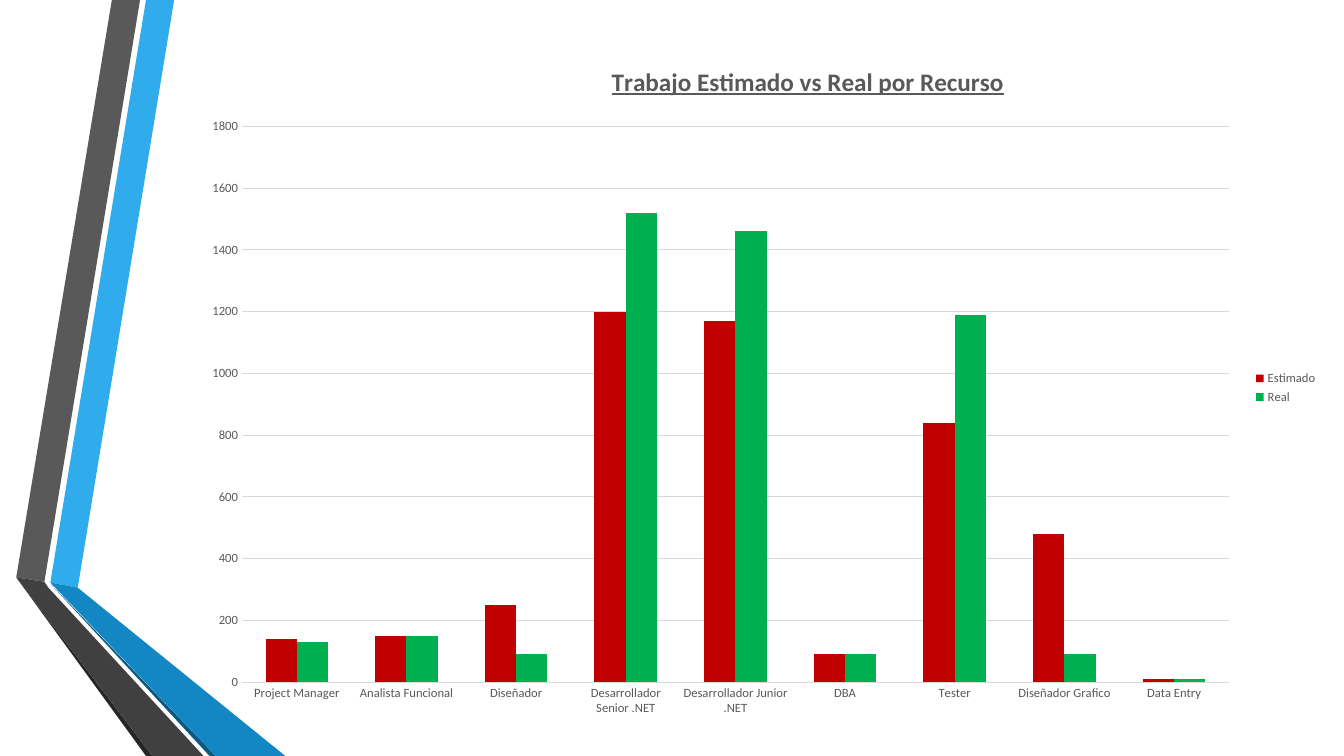
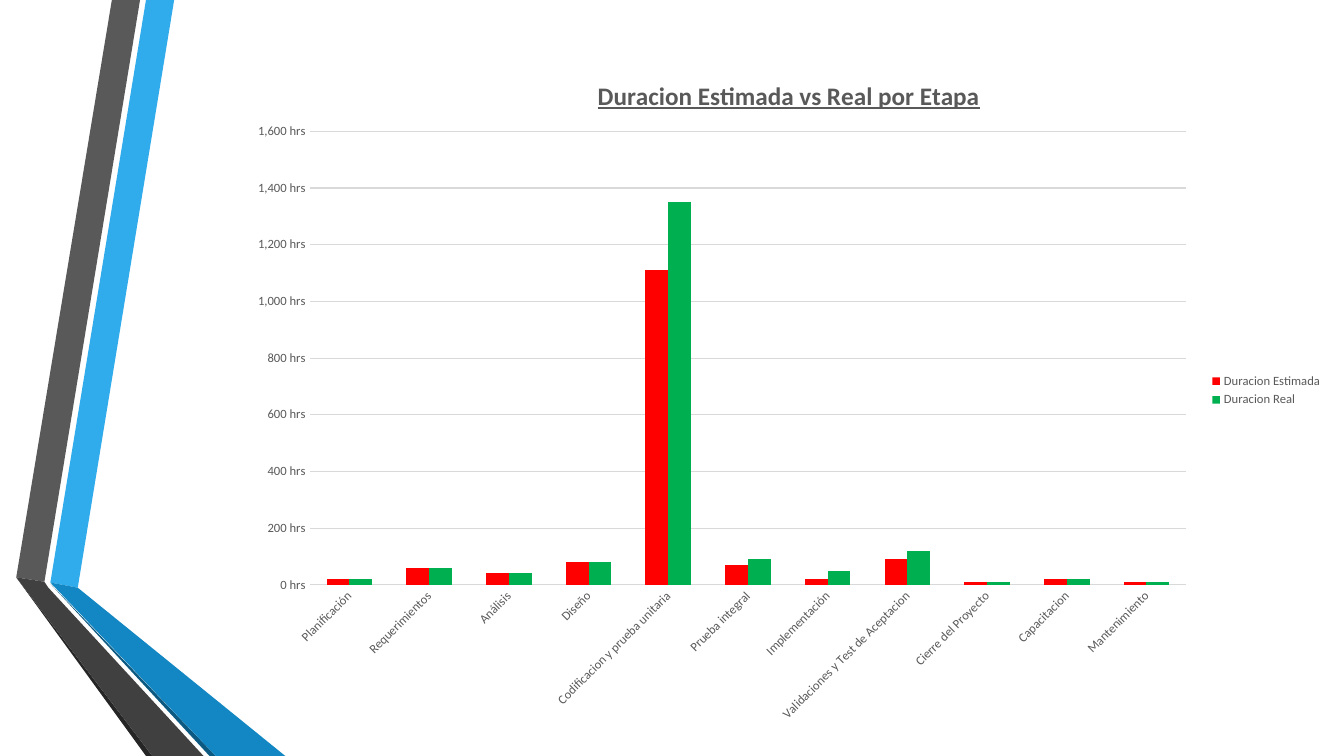
import pptx
import pptx.chart.data
import pptx.dml.color
import pptx.enum.chart
import pptx.oxml
import pptx.oxml.ns
import pptx.util

Cm, Pt = pptx.util.Cm, pptx.util.Pt
qn = pptx.oxml.ns.qn

# Shared look
FONT = "Calibri"
TEXT, GRID, GREEN = "595959", "D9D9D9", "00B050"
WIDTH, HEIGHT = 33.87, 19.05

# Side bands: colour and outline in cm
BANDS = [
    ("30ACEC", [(1.27, 14.68), (1.96, 14.81), (4.39, 0), (3.68, 0)]),
    ("595959", [(3.53, 0), (2.82, 0), (0.41, 14.55), (1.12, 14.66)]),
    ("262626", [(0.41, 14.55), (3.68, HEIGHT), (3.84, HEIGHT)]),
    ("0C5A82", [(1.27, 14.71), (5.28, HEIGHT), (5.44, HEIGHT)]),
    ("1287C3", [(1.27, 14.68), (5.44, HEIGHT), (7.19, HEIGHT), (1.96, 14.81)]),
    ("404040", [(0.41, 14.55), (3.84, HEIGHT), (5.13, HEIGHT), (1.22, 14.81),
                (1.12, 14.66)]),
]

# Chart content; boxes are left, top, width, height in cm
RESOURCES = dict(
    title="Trabajo Estimado vs Real por Recurso",
    box=(4.78, 1.17, 28.68, 17.2), plot=(6.1, 3.19, 24.87, 14),
    title_at=(15.3, 1.5), top=1800, number_format="General",
    cats=["Project Manager", "Analista Funcional", "Diseñador",
          "Desarrollador Senior .NET", "Desarrollador Junior .NET", "DBA",
          "Tester", "Diseñador Grafico", "Data Entry"],
    series=[
        ("Estimado", "C00000", [140, 150, 250, 1200, 1170, 90, 840, 480, 10]),
        ("Real", GREEN, [130, 150, 90, 1520, 1460, 90, 1190, 90, 10]),
    ],
)
STAGES = dict(
    title="Duracion Estimada vs Real por Etapa",
    box=(5.97, 1.14, 27.61, 17.4), plot=(7.8, 3.31, 22.1, 11.43),
    title_at=(14.95, 1.85), top=1600, number_format='#,##0_ "hrs"',
    cats=["Planificación", "Requerimientos", "Análisis", "Diseño",
          "Codificacion y prueba unitaria", "Prueba integral",
          "Implementación", "Validaciones y Test de Aceptacion",
          "Cierre del Proyecto", "Capacitacion", "Mantenimiento"],
    series=[
        ("Duracion Estimada", "FF0000",
         [20, 60, 40, 80, 1110, 70, 20, 90, 10, 20, 10]),
        ("Duracion Real", GREEN,
         [20, 60, 40, 80, 1350, 90, 50, 120, 10, 20, 10]),
    ],
    label_angle=-45,
)


def rgb(value):
    return pptx.dml.color.RGBColor.from_string(value)


def style_font(font, size):
    font.name, font.size = FONT, Pt(size)
    font.color.rgb = rgb(TEXT)


def add_bands(slide, layout):
    """Draw the bands and move them to the layout, so all slides share them."""
    for color, points in BANDS:
        outline = [(Cm(x), Cm(y)) for x, y in points]
        builder = slide.shapes.build_freeform(*outline[0])
        builder.add_line_segments(outline[1:])
        sp = builder.convert_to_shape()
        sp.shadow.inherit = False
        sp.fill.solid()
        sp.fill.fore_color.rgb = rgb(color)
        sp.line.fill.background()
        layout.shapes.element.append(sp.element)


def set_layout(parent, index, chart_box, place, inner=False):
    """Place a chart part, given in slide cm, as fractions of the chart."""
    for old in parent.findall(qn("c:layout")):
        parent.remove(old)
    left, top, width, height = chart_box
    values = [(place[0] - left) / width, (place[1] - top) / height]
    values += [length / whole for length, whole in zip(place[2:], (width, height))]
    target = '<c:layoutTarget val="inner"/>' if inner else ""
    modes = '<c:xMode val="edge"/><c:yMode val="edge"/>'
    sizes = "".join(f'<c:{tag} val="{value:.4f}"/>'
                    for tag, value in zip("xywh", values))
    parent.insert(index, pptx.oxml.parse_xml(
        f'<c:layout {pptx.oxml.ns.nsdecls("c")}><c:manualLayout>'
        f'{target}{modes}{sizes}</c:manualLayout></c:layout>'))


def style_title(chart, text):
    tf = chart.chart_title.text_frame
    tf.text = text
    font = tf.paragraphs[0].runs[0].font
    style_font(font, 18)
    font.bold = font.underline = True


def style_axes(chart, top, number_format, label_angle):
    no_tick = pptx.enum.chart.XL_TICK_MARK.NONE
    for axis in (chart.category_axis, chart.value_axis):
        axis.major_tick_mark = axis.minor_tick_mark = no_tick
        axis.format.line.fill.background()
        style_font(axis.tick_labels.font, 9)
    values = chart.value_axis
    values.minimum_scale, values.maximum_scale, values.major_unit = 0, top, 200
    values.tick_labels.number_format = number_format
    values.tick_labels.number_format_is_linked = False
    values.has_major_gridlines = True
    for line in (values.major_gridlines.format.line,
                 chart.category_axis.format.line):
        line.color.rgb = rgb(GRID)
        line.width = Pt(0.75)
    if label_angle:
        axis_xml = next(chart.element.iter(qn("c:catAx")))
        body = axis_xml.find(qn("c:txPr")).find(qn("a:bodyPr"))
        body.set("rot", str(label_angle * 60000))
        body.set("vert", "horz")


def add_column_chart(slide, title, box, plot, title_at, top, number_format,
                     cats, series, label_angle=0):
    data = pptx.chart.data.CategoryChartData()
    data.categories = cats
    for name, _, values in series:
        data.add_series(name, values)
    kind = pptx.enum.chart.XL_CHART_TYPE.COLUMN_CLUSTERED
    chart = slide.shapes.add_chart(kind, *map(Cm, box), data).chart
    style_font(chart.font, 9)
    style_title(chart, title)
    style_axes(chart, top, number_format, label_angle)

    # Columns
    columns = chart.plots[0]
    columns.gap_width, columns.overlap = 150, 0
    columns.vary_by_categories = False
    for column, (_, color, _) in zip(columns.series, series):
        column.format.fill.solid()
        column.format.fill.fore_color.rgb = rgb(color)

    # Legend
    chart.has_legend = True
    chart.legend.position = pptx.enum.chart.XL_LEGEND_POSITION.RIGHT
    chart.legend.include_in_layout = False
    style_font(chart.legend.font, 9)

    # Positions of title and plot
    title_xml = next(chart.element.iter(qn("c:title")))
    set_layout(title_xml, 1, box, title_at)
    plot_xml = next(chart.element.iter(qn("c:plotArea")))
    set_layout(plot_xml, 0, box, plot, inner=True)


def main():
    prs = pptx.Presentation()
    prs.slide_width, prs.slide_height = Cm(WIDTH), Cm(HEIGHT)
    blank = prs.slide_layouts[6]
    slides = [prs.slides.add_slide(blank) for _ in range(2)]
    add_bands(slides[0], blank)
    for slide, content in zip(slides, (RESOURCES, STAGES)):
        add_column_chart(slide, **content)
    prs.save("out.pptx")


if __name__ == "__main__":
    main()
